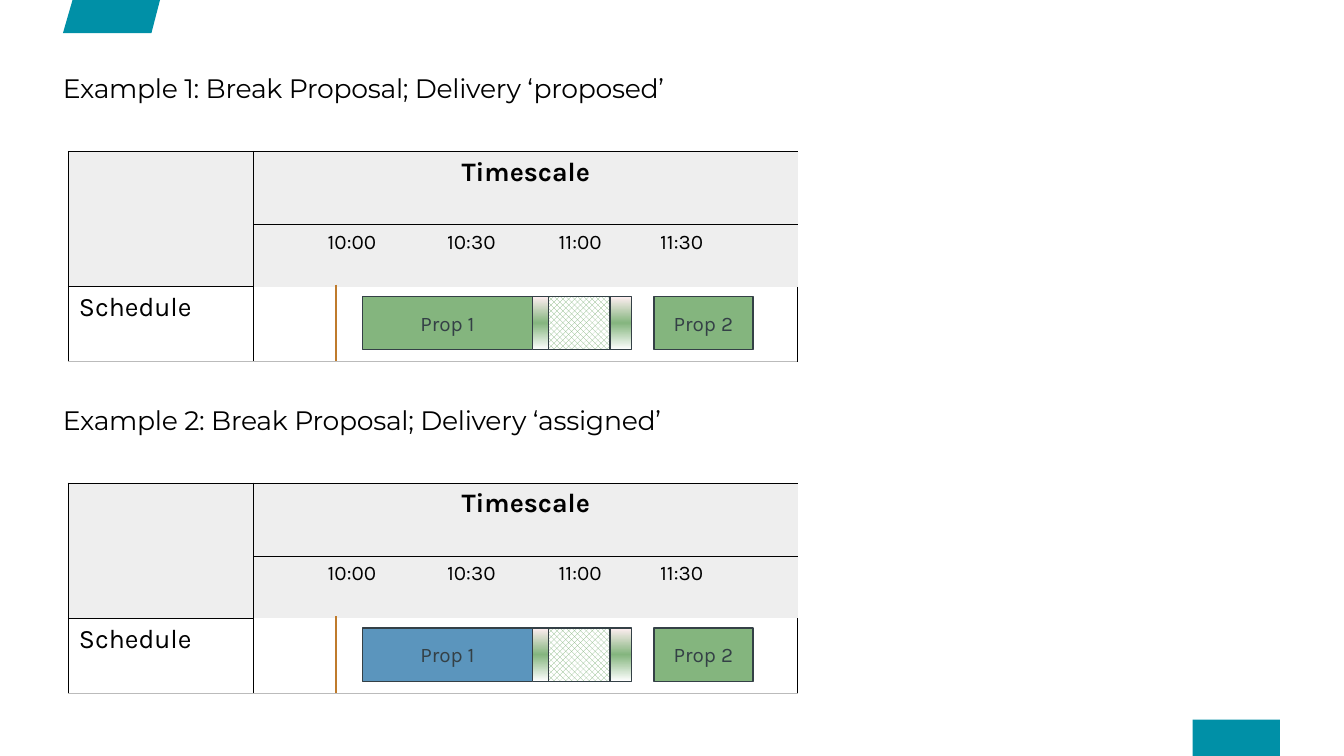
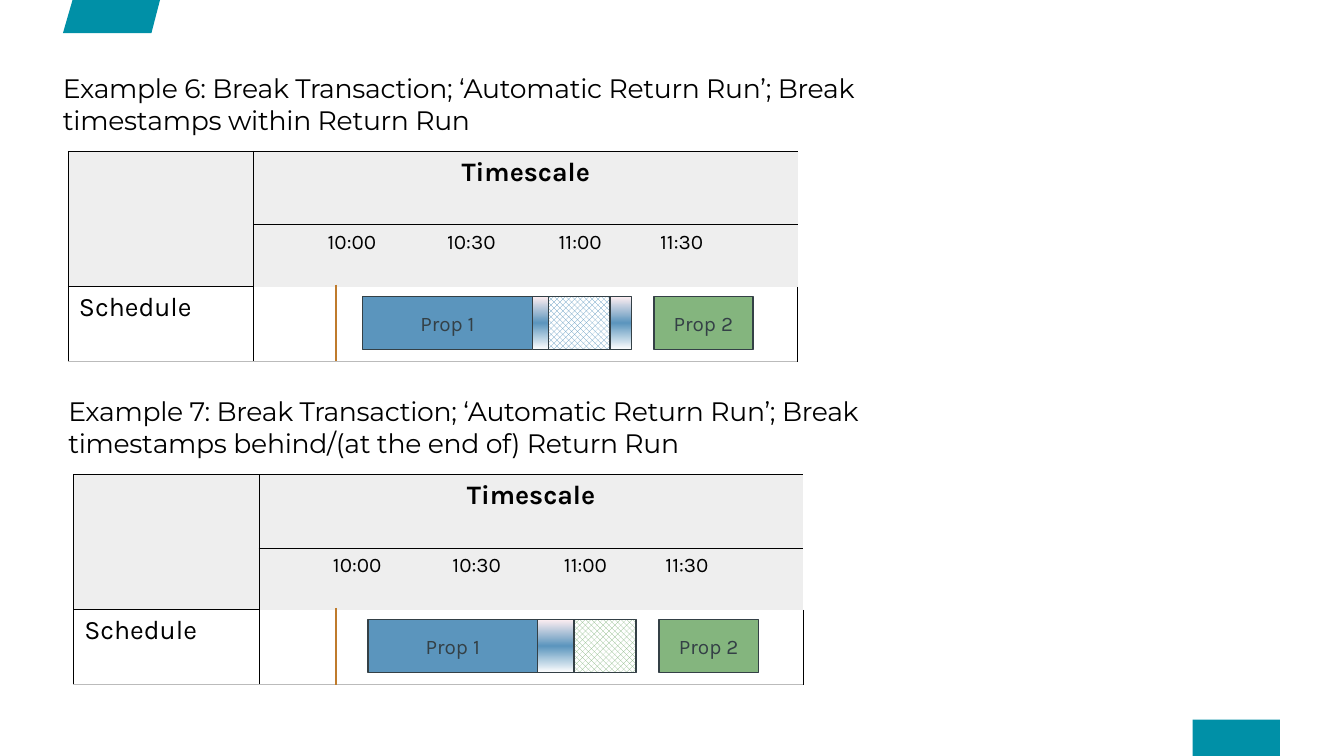
from copy import deepcopy
from dataclasses import dataclass

from lxml import etree
from pptx import Presentation
from pptx.dml.color import RGBColor
from pptx.enum import dml, shapes, text
from pptx.oxml.ns import qn
from pptx.util import Inches, Pt

# Shared style
TEAL, GREY, BLACK, WHITE = "0090A7", "EEEEEE", "000000", "FFFFFF"
GRID, INK, NOW, BLUSH = "BBBBBB", "344046", "BF7B2C", "FFEFF2"
GREEN, BLUE = "84B57E", "5B95BD"
HEAD_FONT, BODY_FONT = "Montserrat", "Karla"
COLS = [1.74, 1.02] + [0.51] * 6 + [1.02]
ROWS = [0.69, 0.58, 0.7]
NO_STYLE = "{2D5ABB26-0587-4C30-8999-92F81FD0307C}"
CENTER, LEFT = text.PP_ALIGN.CENTER, text.PP_ALIGN.LEFT


@dataclass
class Example:
    heading: str
    heading_at: tuple[float, float]
    table_at: tuple[float, float]
    prop_color: str
    break_color: str
    return_color: str
    break_x: float = 4.5  # from the left edge of the table


@dataclass
class Hour:
    label: str
    first_col: int
    last_col: int
    align: text.PP_ALIGN = CENTER
    indent: float = 0.1


HOURS = [Hour("10:00", 1, 2, indent=0.41), Hour("10:30", 3, 4),
         Hour("11:00", 5, 6), Hour("11:30", 7, 8, LEFT, 0.24)]

SLIDES = [
    [Example("Example 1: Break Proposal; Delivery ‘proposed’",
             (0.59, 0.67), (0.64, 1.42), GREEN, GREEN, GREEN),
     Example("Example 2: Break Proposal; Delivery ‘assigned’",
             (0.59, 3.79), (0.64, 4.53), BLUE, GREEN, GREEN)],
    [Example("Example 6: Break Transaction; ‘Automatic Return Run’; "
             "Break timestamps within Return Run",
             (0.59, 0.67), (0.64, 1.42), BLUE, BLUE, BLUE),
     Example("Example 7: Break Transaction; ‘Automatic Return Run’; "
             "Break timestamps behind/(at the end of) Return Run",
             (0.64, 3.7), (0.69, 4.45), BLUE, GREEN, BLUE, 4.69)],
]


def rgb(color: str) -> RGBColor:
    return RGBColor.from_string(color)


def write(tf, words: str, size: float, font: str, color: str,
          align=LEFT, bold: bool = False) -> None:
    tf.text = words
    p = tf.paragraphs[0]
    p.alignment = align
    f = p.runs[0].font
    f.size, f.name, f.bold = Pt(size), font, bold
    f.color.rgb = rgb(color)


def add_heading(sp, ex: Example) -> None:
    sp.left, sp.top = (Inches(v) for v in ex.heading_at)
    sp.width, sp.height = Inches(8.59), Inches(0.67)
    tf = sp.text_frame
    tf.word_wrap, tf.auto_size = True, text.MSO_AUTO_SIZE.NONE
    tf.vertical_anchor = text.MSO_ANCHOR.TOP
    tf.margin_left = tf.margin_right = tf.margin_top = tf.margin_bottom = 0
    write(tf, ex.heading, 18, HEAD_FONT, BLACK)
    tf.paragraphs[0].runs[0].font._element.set("spc", "-20")


def add_borders(cell, row: int, col: int) -> None:
    last = len(COLS) - 1
    grid_line = row == 2 and col % 2
    sides = {
        "L": BLACK if col < 2 else None,
        "R": BLACK if col in (0, last) else GRID if grid_line else None,
        "T": BLACK if row == 0 or (row == 1) == (col > 0) else None,
        "B": GRID if row == 2 else BLACK if (row == 0) == (col > 0) else None,
    }
    tc_pr = cell._tc.get_or_add_tcPr()
    for i, (side, color) in enumerate(sides.items()):
        ln = etree.Element(qn(f"a:ln{side}"), w=str(Pt(0.75)))
        if color:
            fill = etree.SubElement(ln, qn("a:solidFill"))
            etree.SubElement(fill, qn("a:srgbClr"), val=color)
        else:
            etree.SubElement(ln, qn("a:noFill"))
        tc_pr.insert(i, ln)


def add_timetable(s, left: float, top: float) -> None:
    frame = s.shapes.add_table(len(ROWS), len(COLS), Inches(left), Inches(top),
                               Inches(sum(COLS)), Inches(sum(ROWS)))
    tbl = frame.table
    tbl.first_row = tbl.horz_banding = False
    tbl._tbl.tblPr.find(qn("a:tableStyleId")).text = NO_STYLE
    for column, width in zip(tbl.columns, COLS):
        column.width = Inches(width)
    for r, height in enumerate(ROWS):
        tbl.rows[r].height = Inches(height)
        for c in range(len(COLS)):
            cell = tbl.cell(r, c)
            if r < 2:
                cell.fill.solid()
                cell.fill.fore_color.rgb = rgb(GREY)
            else:
                cell.fill.background()
            add_borders(cell, r, c)
    # Header, hours and row label
    tbl.cell(0, 0).merge(tbl.cell(1, 0))
    tbl.cell(0, 1).merge(tbl.cell(0, len(COLS) - 1))
    write(tbl.cell(0, 1).text_frame, "Timescale", 18, BODY_FONT, BLACK, CENTER, True)
    for hour in HOURS:
        cell = tbl.cell(1, hour.first_col)
        cell.merge(tbl.cell(1, hour.last_col))
        cell.margin_left = Inches(hour.indent)
        write(cell.text_frame, hour.label, 14, BODY_FONT, BLACK, hour.align)
    write(tbl.cell(2, 0).text_frame, "Schedule", 18, BODY_FONT, BLACK)


def add_bar(s, left: float, top: float, width: float, label: str = ""):
    sp = s.shapes.add_shape(shapes.MSO_SHAPE.RECTANGLE, Inches(left), Inches(top),
                            Inches(width), Inches(0.5))
    sp.shadow.inherit = False
    sp.line.color.rgb, sp.line.width = rgb(INK), Pt(1)
    if label:
        sp.text_frame.vertical_anchor = text.MSO_ANCHOR.MIDDLE
        write(sp.text_frame, label, 14, BODY_FONT, INK, CENTER)
    return sp


def fill_solid(sp, color: str) -> None:
    sp.fill.solid()
    sp.fill.fore_color.rgb = rgb(color)


def fill_gradient(sp, colors: list[str]) -> None:
    sp.fill.gradient()
    sp.fill.gradient_angle = 270
    stops = sp._element.spPr.find(qn("a:gradFill")).find(qn("a:gsLst"))
    stops.insert(1, deepcopy(stops[0]))
    for i, (stop, color) in enumerate(zip(sp.fill.gradient_stops, colors)):
        stop.position = i / (len(colors) - 1)
        stop.color.rgb = rgb(color)


def fill_pattern(sp, color: str) -> None:
    sp.fill.patterned()
    sp.fill.pattern = dml.MSO_PATTERN.LARGE_CHECKER_BOARD
    sp.fill.fore_color.rgb, sp.fill.back_color.rgb = rgb(color), rgb(WHITE)


def add_example(s, ex: Example) -> None:
    left, top = ex.table_at
    add_timetable(s, left, top)
    bar_top = top + 1.36
    # Runs and the break inside the return run
    fill_solid(add_bar(s, left + 2.76, bar_top, 1.59, "Prop 1"), ex.prop_color)
    fill_gradient(add_bar(s, left + 4.35, bar_top, 0.93),
                  [BLUSH, ex.return_color, WHITE])
    fill_pattern(add_bar(s, left + ex.break_x, bar_top, 0.58), ex.break_color)
    fill_solid(add_bar(s, left + 5.49, bar_top, 0.93, "Prop 2"), GREEN)
    # Current time
    line = s.shapes.add_connector(shapes.MSO_CONNECTOR.STRAIGHT,
                                  Inches(3.15), Inches(top + 1.25),
                                  Inches(3.15), Inches(top + 1.97))
    line.line.color.rgb, line.line.width = rgb(NOW), Pt(1.25)
    etree.SubElement(line._element.spPr, qn("a:effectLst"))


def add_layout_marks(s) -> None:
    """Draw the brand shapes and move them to the layout shared by all slides."""
    fb = s.shapes.build_freeform(Inches(0.68), 0)
    fb.add_line_segments([(Inches(x), Inches(y)) for x, y in
                          [(0.59, 0.31), (1.42, 0.31), (1.5, 0)]])
    flag = fb.convert_to_shape()
    footer = s.shapes.add_shape(shapes.MSO_SHAPE.RECTANGLE, Inches(11.18),
                                Inches(6.75), Inches(0.82), Inches(0.34))
    for i, sp in enumerate((flag, footer)):
        sp.shadow.inherit = False
        fill_solid(sp, TEAL)
        sp.line.fill.background()
        sp._element.nvSpPr.cNvPr.set("id", str(101 + i))
        s.slide_layout.shapes._spTree.append(sp._element)


def main() -> None:
    prs = Presentation()
    prs.slide_width, prs.slide_height = Inches(12.6), Inches(7.09)
    layout = prs.slide_layouts[5]
    for i, examples in enumerate(SLIDES):
        s = prs.slides.add_slide(layout)
        if i == 0:
            add_layout_marks(s)
        for j, ex in enumerate(examples):
            sp = s.shapes.add_textbox(0, 0, 0, 0) if j else s.shapes.title
            add_heading(sp, ex)
            add_example(s, ex)
    prs.save("out.pptx")


if __name__ == "__main__":
    main()
